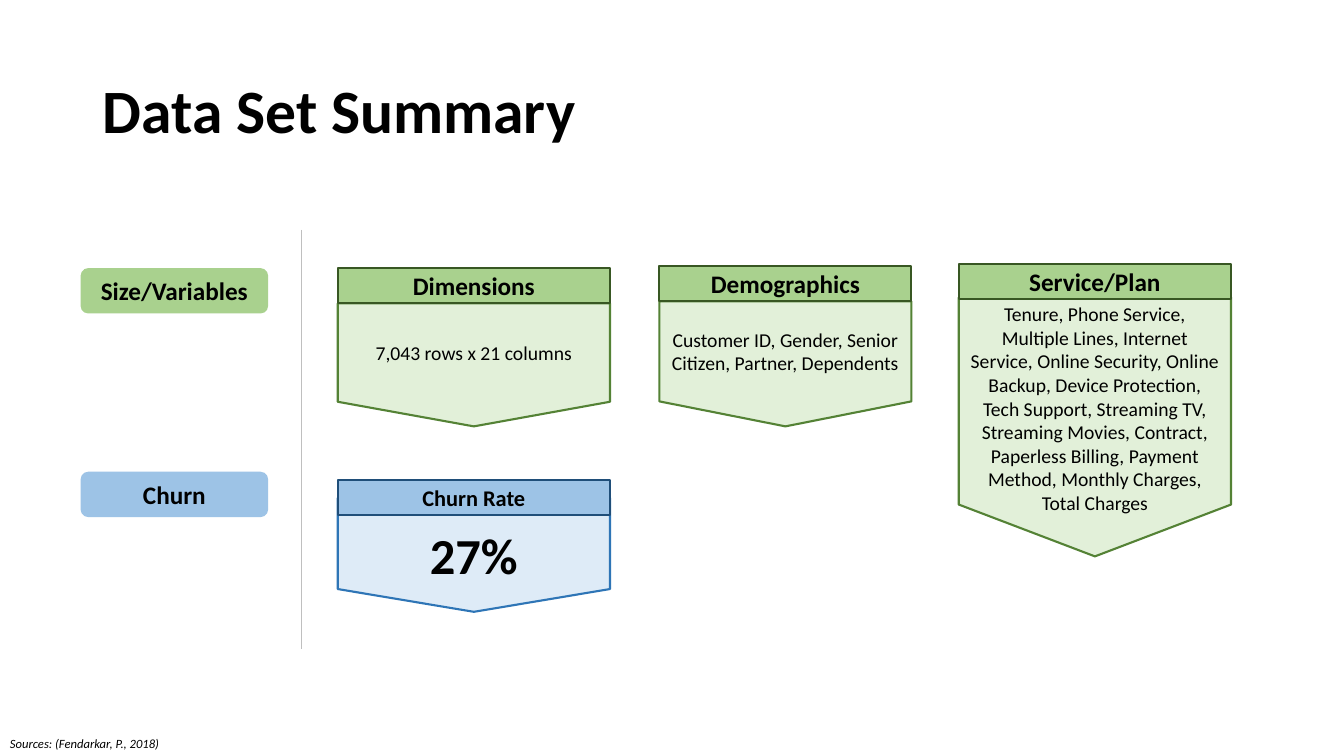
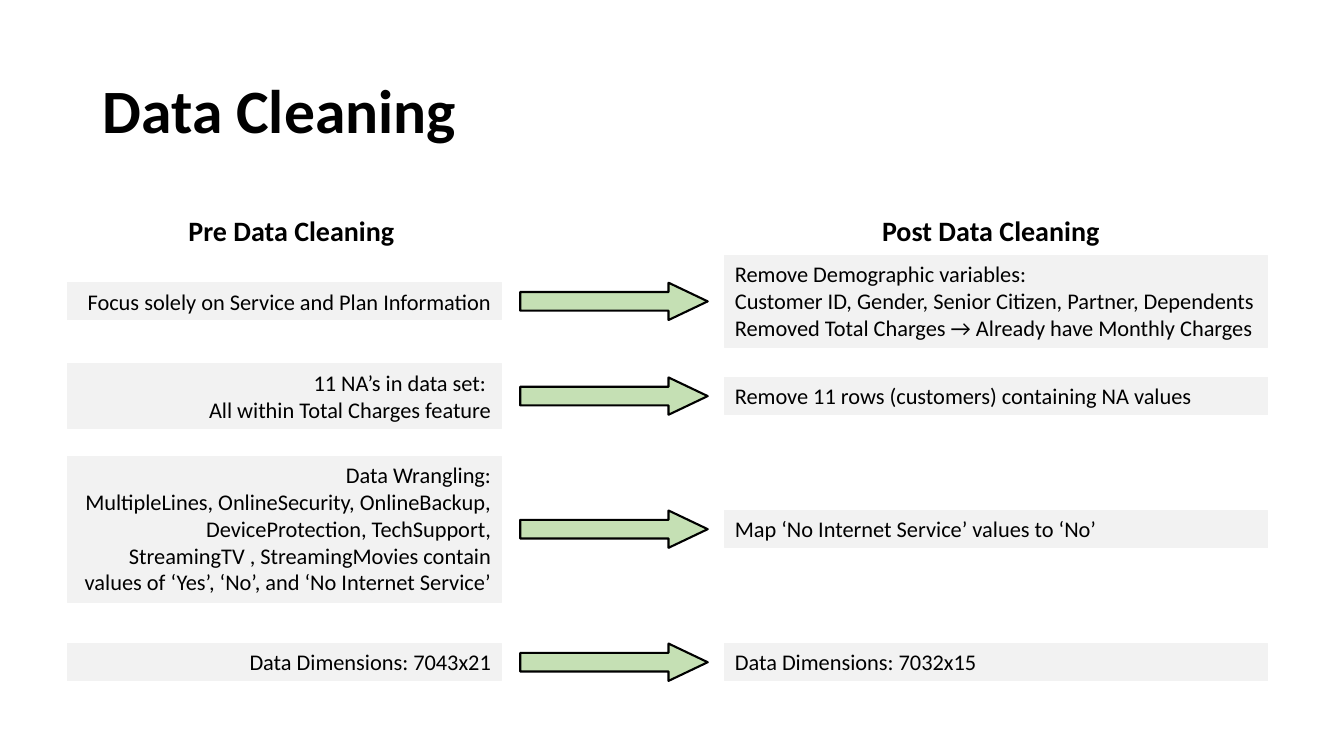
from dataclasses import dataclass
from typing import Optional

from lxml.etree import SubElement
from pptx import Presentation
from pptx.dml.color import RGBColor
from pptx.enum.shapes import MSO_CONNECTOR, MSO_SHAPE
from pptx.enum.text import MSO_ANCHOR, PP_ALIGN
from pptx.oxml.ns import qn
from pptx.util import Inches, Pt


@dataclass(frozen=True)
class Palette:
    header: str
    header_line: str
    body: str
    body_line: str


@dataclass(frozen=True)
class Theme:
    font: str = "Calibri"
    ink: str = "000000"
    divider: str = "BFBFBF"
    panel: str = "F2F2F2"
    arrow: str = "C5E0B4"
    green: Palette = Palette("A9D18E", "385723", "E2F0D9", "548235")
    blue: Palette = Palette("9DC3E6", "1F4E79", "DEEBF7", "2E75B6")
    title: int = 44
    figure: int = 36
    column: int = 20
    heading: int = 18
    text: int = 16
    detail: int = 14
    source: int = 9
    outline: float = 1.5
    hairline: float = 0.75


THEME = Theme()


@dataclass(frozen=True)
class Box:
    left: float
    top: float
    width: float
    height: float

    def lengths(self) -> tuple:
        return tuple(Inches(v) for v in (self.left, self.top, self.width, self.height))


@dataclass(frozen=True)
class TextStyle:
    size: int
    bold: bool = False
    italic: bool = False
    align: PP_ALIGN = PP_ALIGN.LEFT
    anchor: MSO_ANCHOR = MSO_ANCHOR.TOP
    spacing: float = 1.0


@dataclass(frozen=True)
class Card:
    heading: str
    detail: str
    left: float
    width: float
    header_top: float
    body_top: float
    body_height: float
    palette: Palette = THEME.green
    heading_size: int = THEME.heading
    detail_size: int = THEME.detail
    detail_bold: bool = False
    detail_anchor: MSO_ANCHOR = MSO_ANCHOR.MIDDLE


@dataclass(frozen=True)
class Label:
    text: str
    top: float
    fill: str


@dataclass(frozen=True)
class Step:
    middle: float
    before: tuple
    before_lines: int
    after: tuple
    after_lines: int


HEADER_HEIGHT = 0.35
LINE_HEIGHT = 0.27
PANEL_PADDING = 0.1
ARROW_HEIGHT = 0.37

LABELS = (
    Label("Size/Variables", 2.66, THEME.green.header),
    Label("Churn", 4.68, THEME.blue.header),
)

CARDS = (
    Card("Dimensions", "7,043 rows x 21 columns", 3.35, 2.7, 2.66, 3.01, 1.22),
    Card("Demographics", "Customer ID, Gender, Senior Citizen, Partner, Dependents",
         6.54, 2.5, 2.64, 2.99, 1.24),
    Card("Service/Plan",
         "Tenure, Phone Service, Multiple Lines, Internet Service, Online Security, "
         "Online Backup, Device Protection, Tech Support, Streaming TV, Streaming Movies, "
         "Contract, Paperless Billing, Payment Method, Monthly Charges, Total Charges",
         9.51, 2.7, 2.62, 2.95, 2.57, detail_anchor=MSO_ANCHOR.TOP),
    Card("Churn Rate", "27%", 3.35, 2.7, 4.76, 4.94, 1.13, THEME.blue, THEME.text,
         THEME.figure, True, MSO_ANCHOR.BOTTOM),
)

STEPS = (
    Step(2.99, ("Focus solely on Service and Plan Information",), 1,
         ("Remove Demographic variables:",
          "Customer ID, Gender, Senior Citizen, Partner, Dependents",
          "Removed Total Charges → Already have Monthly Charges"), 3),
    Step(3.93, ("11 NA’s in data set: ", "All within Total Charges feature"), 2,
         ("Remove 11 rows (customers) containing NA values",), 1),
    Step(5.25, ("Data Wrangling:",
                "MultipleLines, OnlineSecurity, OnlineBackup, DeviceProtection, "
                "TechSupport, StreamingTV , StreamingMovies contain values of "
                "‘Yes’, ‘No’, and ‘No Internet Service’"), 5,
         ("Map ‘No Internet Service’ values to ‘No’",), 1),
    Step(6.57, ("Data Dimensions: 7043x21",), 1, ("Data Dimensions: 7032x15",), 1),
)


def write(shape, paragraphs: tuple, style: TextStyle) -> None:
    frame = shape.text_frame
    frame.word_wrap = True
    frame.vertical_anchor = style.anchor
    font_values = {"name": THEME.font, "size": Pt(style.size),
                   "bold": style.bold, "italic": style.italic}
    for index, text in enumerate(paragraphs):
        para = frame.add_paragraph() if index else frame.paragraphs[0]
        para.alignment = style.align
        para.line_spacing = style.spacing
        span = para.add_run()
        span.text = text
        for name, value in font_values.items():
            setattr(span.font, name, value)
        span.font.color.rgb = RGBColor.from_string(THEME.ink)


def add_text(page, box: Box, text: str, style: TextStyle) -> None:
    write(page.shapes.add_textbox(*box.lengths()), (text,), style)


def add_block(page, kind: MSO_SHAPE, box: Box, fill: str,
              line: Optional[str] = None, weight: float = THEME.outline):
    shape = page.shapes.add_shape(kind, *box.lengths())
    shape.shadow.inherit = False
    shape.fill.solid()
    shape.fill.fore_color.rgb = RGBColor.from_string(fill)
    if line is None:
        shape.line.fill.background()
    else:
        shape.line.color.rgb = RGBColor.from_string(line)
        shape.line.width = Pt(weight)
    return shape


def add_page(deck, title: str):
    page = deck.slides.add_slide(deck.slide_layouts[6])
    add_text(page, Box(0.92, 0.4, 11.5, 1.45), title,
             TextStyle(THEME.title, bold=True, anchor=MSO_ANCHOR.MIDDLE, spacing=0.9))
    return page


def add_card(page, card: Card) -> None:
    palette = card.palette
    body = add_block(page, MSO_SHAPE.FLOWCHART_OFFPAGE_CONNECTOR,
                     Box(card.left, card.body_top, card.width, card.body_height),
                     palette.body, palette.body_line)
    write(body, (card.detail,),
          TextStyle(card.detail_size, card.detail_bold, align=PP_ALIGN.CENTER,
                    anchor=card.detail_anchor))
    header = add_block(page, MSO_SHAPE.FLOWCHART_PROCESS,
                       Box(card.left, card.header_top, card.width, HEADER_HEIGHT),
                       palette.header, palette.header_line)
    write(header, (card.heading,),
          TextStyle(card.heading_size, True, align=PP_ALIGN.CENTER,
                    anchor=MSO_ANCHOR.MIDDLE))


def add_divider(page, left: float, top: float, bottom: float) -> None:
    divider = page.shapes.add_connector(MSO_CONNECTOR.STRAIGHT, Inches(left), Inches(top),
                                        Inches(left), Inches(bottom))
    divider.line.color.rgb = RGBColor.from_string(THEME.divider)
    divider.line.width = Pt(THEME.hairline)
    SubElement(divider._element.spPr, qn("a:effectLst"))


def add_panel(page, left: float, width: float, middle: float, paragraphs: tuple,
              lines: int, align: PP_ALIGN) -> None:
    height = PANEL_PADDING + lines * LINE_HEIGHT
    panel = add_block(page, MSO_SHAPE.RECTANGLE,
                      Box(left, middle - height / 2, width, height),
                      THEME.panel, THEME.panel, THEME.hairline)
    write(panel, paragraphs, TextStyle(THEME.text, align=align))


def add_step(page, step: Step) -> None:
    add_panel(page, 0.67, 4.3, step.middle, step.before, step.before_lines, PP_ALIGN.RIGHT)
    add_panel(page, 7.19, 5.38, step.middle, step.after, step.after_lines, PP_ALIGN.LEFT)
    arrow = add_block(page, MSO_SHAPE.RIGHT_ARROW,
                      Box(5.16, step.middle - ARROW_HEIGHT / 2, 1.86, ARROW_HEIGHT),
                      THEME.arrow, THEME.ink)
    arrow.adjustments[0] = 0.5
    arrow.adjustments[1] = 1.05


def build_summary(deck) -> None:
    page = add_page(deck, "Data Set Summary")
    for card in CARDS:
        add_card(page, card)
    for label in LABELS:
        shape = add_block(page, MSO_SHAPE.ROUNDED_RECTANGLE,
                          Box(0.8, label.top, 1.86, 0.45), label.fill)
        write(shape, (label.text,), TextStyle(THEME.heading, True, align=PP_ALIGN.CENTER))
    add_divider(page, 2.99, 2.28, 6.44)
    add_text(page, Box(0, 7.25, 6.46, 0.25), "Sources: (Fendarkar, P., 2018)",
             TextStyle(THEME.source, italic=True))


def build_cleaning(deck) -> None:
    page = add_page(deck, "Data Cleaning")
    add_text(page, Box(1.64, 2.07, 2.37, 0.44), "Pre Data Cleaning",
             TextStyle(THEME.column, True, align=PP_ALIGN.RIGHT))
    add_text(page, Box(8.65, 2.07, 2.44, 0.44), "Post Data Cleaning",
             TextStyle(THEME.column, True))
    for step in STEPS:
        add_step(page, step)


def main() -> None:
    deck = Presentation()
    deck.slide_width = Inches(13.33)
    deck.slide_height = Inches(7.5)
    build_summary(deck)
    build_cleaning(deck)
    deck.save("out.pptx")


if __name__ == "__main__":
    main()
